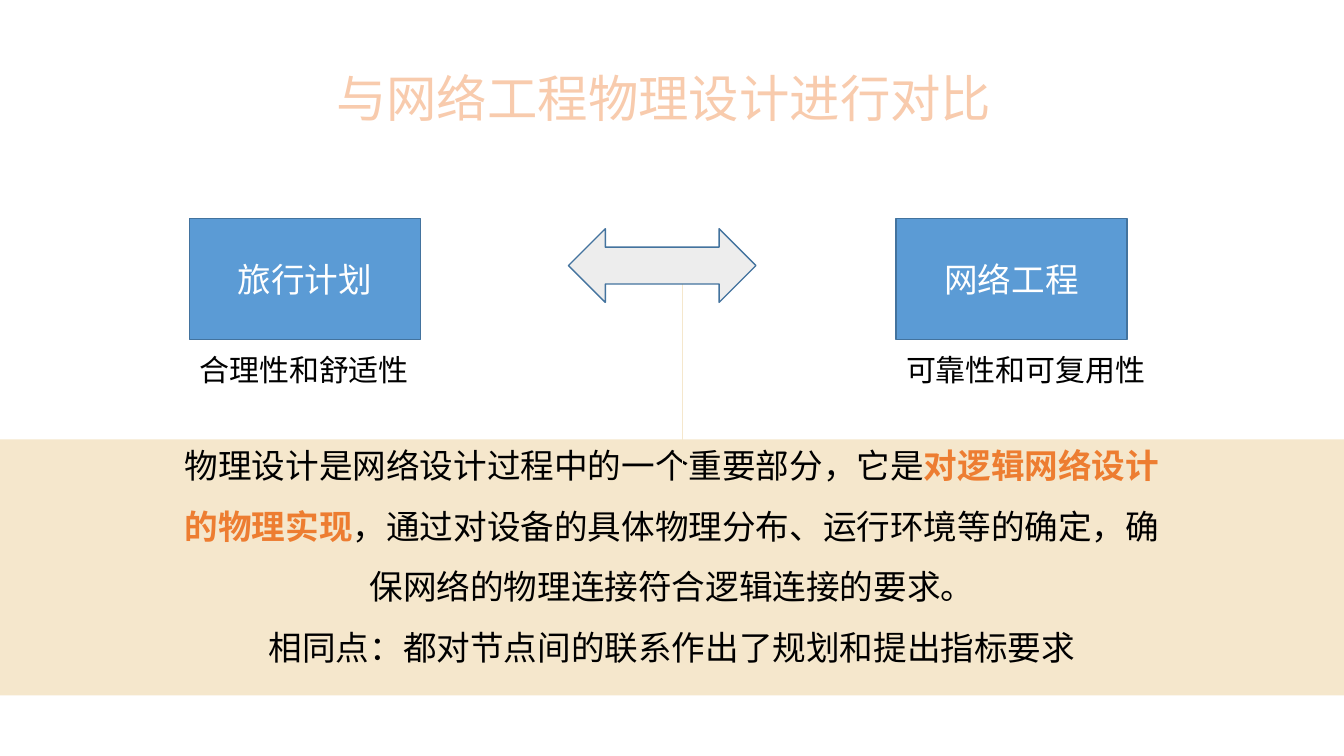
"""Build a slide comparing a travel plan with physical network design."""
from dataclasses import dataclass

from lxml import etree
from pptx import Presentation
from pptx.dml.color import RGBColor
from pptx.enum.shapes import MSO_CONNECTOR, MSO_SHAPE
from pptx.enum.text import MSO_ANCHOR, PP_ALIGN
from pptx.oxml.ns import qn
from pptx.util import Pt

RECT, ARROW = MSO_SHAPE.RECTANGLE, MSO_SHAPE.LEFT_RIGHT_ARROW
STRAIGHT = MSO_CONNECTOR.STRAIGHT
LEFT, CENTER = PP_ALIGN.LEFT, PP_ALIGN.CENTER
TOP, MIDDLE = MSO_ANCHOR.TOP, MSO_ANCHOR.MIDDLE
SAND, BLUE, NAVY, GREY = "F5E7CC", "5B9BD5", "43739E", "EDEDED"
ORANGE, PEACH, BLACK, WHITE = "ED7D31", "F8CBAD", "000000", "FFFFFF"


@dataclass
class Topic:
    """One side of the comparison."""
    x: float
    name: str
    quality: str


TOPICS = [
    Topic(135.4, "旅行计划", "合理性和舒适性"),
    Topic(640.1, "网络工程", "可靠性和可复用性"),
]

SUMMARY = [
    [("物理设计是网络设计过程中的一个重要部分，它是", False),
     ("对逻辑网络设计的物理实现", True),
     ("，通过对设备的具体物理分布、运行环境等的确定，"
      "确保网络的物理连接符合逻辑连接的要求。", False)],
    [("相同点：都对节点间的联系作出了规划和提出指标要求", False)],
]


def rgb(value: str) -> RGBColor:
    """Turn a hex string into a colour."""
    return RGBColor.from_string(value)


def add_run(p, text: str, *, size: float, font: str = "Arial",
            color: str = BLACK, bold: bool = False):
    """Add a formatted run to a paragraph."""
    r = p.add_run()
    r.text = text
    r.font.size, r.font.name, r.font.bold = Pt(size), font, bold
    r.font.color.rgb = rgb(color)
    return r


def outline_text(r, color: str, width: float) -> None:
    """Give the letters of a run an outline."""
    rpr = r.font._element
    ln = etree.Element(qn("a:ln"), w=str(Pt(width)))
    fill = etree.SubElement(ln, qn("a:solidFill"))
    etree.SubElement(fill, qn("a:srgbClr"), val=color)
    rpr.insert(0, ln)


def add_box(s, x: float, y: float, w: float, h: float, align=LEFT):
    """Add a wrapping text box and return its text frame."""
    tf = s.shapes.add_textbox(Pt(x), Pt(y), Pt(w), Pt(h)).text_frame
    tf.word_wrap = True
    tf.vertical_anchor = TOP
    tf.paragraphs[0].alignment = align
    return tf


def add_block(s, kind, x: float, y: float, w: float, h: float,
              fill: str, line: str | None = None):
    """Add a flat filled shape, outlined if a line colour is given."""
    sp = s.shapes.add_shape(kind, Pt(x), Pt(y), Pt(w), Pt(h))
    sp.shadow.inherit = False
    sp.fill.solid()
    sp.fill.fore_color.rgb = rgb(fill)
    if line:
        sp.line.color.rgb = rgb(line)
        sp.line.width = Pt(1)
    else:
        sp.line.fill.background()
    return sp


def add_summary(s) -> None:
    """Add the explanatory paragraphs."""
    tf = add_box(s, 118.1, 300.2, 723.6, 181.4)
    for i, parts in enumerate(SUMMARY):
        p = tf.add_paragraph() if i else tf.paragraphs[0]
        p.alignment, p.line_spacing = CENTER, 1.5
        for text, key in parts:
            add_run(p, text, size=24, bold=key, color=ORANGE if key else BLACK)


def add_stem(s) -> None:
    """Add the thin line from the arrow to the summary."""
    cx = s.shapes.add_connector(STRAIGHT, Pt(487.4), Pt(188.6), Pt(487.4), Pt(370.1))
    cx.line.color.rgb = rgb(SAND)
    cx.line.width = Pt(0.5)
    etree.SubElement(cx._element.spPr, qn("a:effectLst"))


def add_topic(s, topic: Topic) -> None:
    """Add a topic box with its quality below."""
    sp = add_block(s, RECT, topic.x, 156.2, 164.9, 86.4, BLUE, NAVY)
    sp.text_frame.vertical_anchor = MIDDLE
    p = sp.text_frame.paragraphs[0]
    p.alignment = CENTER
    add_run(p, topic.name, size=24, font="Calibri", color=WHITE)
    tf = add_box(s, topic.x, 247.7, 300, 33.1)
    add_run(tf.paragraphs[0], topic.quality, size=21.4)


def main() -> None:
    """Build and save the slide."""
    prs = Presentation()
    prs.slide_width, prs.slide_height = Pt(960), Pt(540)
    s = prs.slides.add_slide(prs.slide_layouts[6])
    add_block(s, RECT, 0, 313.9, 960, 182.9, SAND)
    add_summary(s)
    add_stem(s)
    tf = add_box(s, 203, 44.6, 542.2, 51.1, CENTER)
    r = add_run(tf.paragraphs[0], "与网络工程物理设计进行对比",
                size=36, font="Calibri", color=PEACH)
    outline_text(r, ORANGE, 1.75)
    for topic in TOPICS:
        add_topic(s, topic)
    add_block(s, ARROW, 406.1, 163.4, 133.9, 52.6, GREY, NAVY)
    prs.save("out.pptx")


if __name__ == "__main__":
    main()
